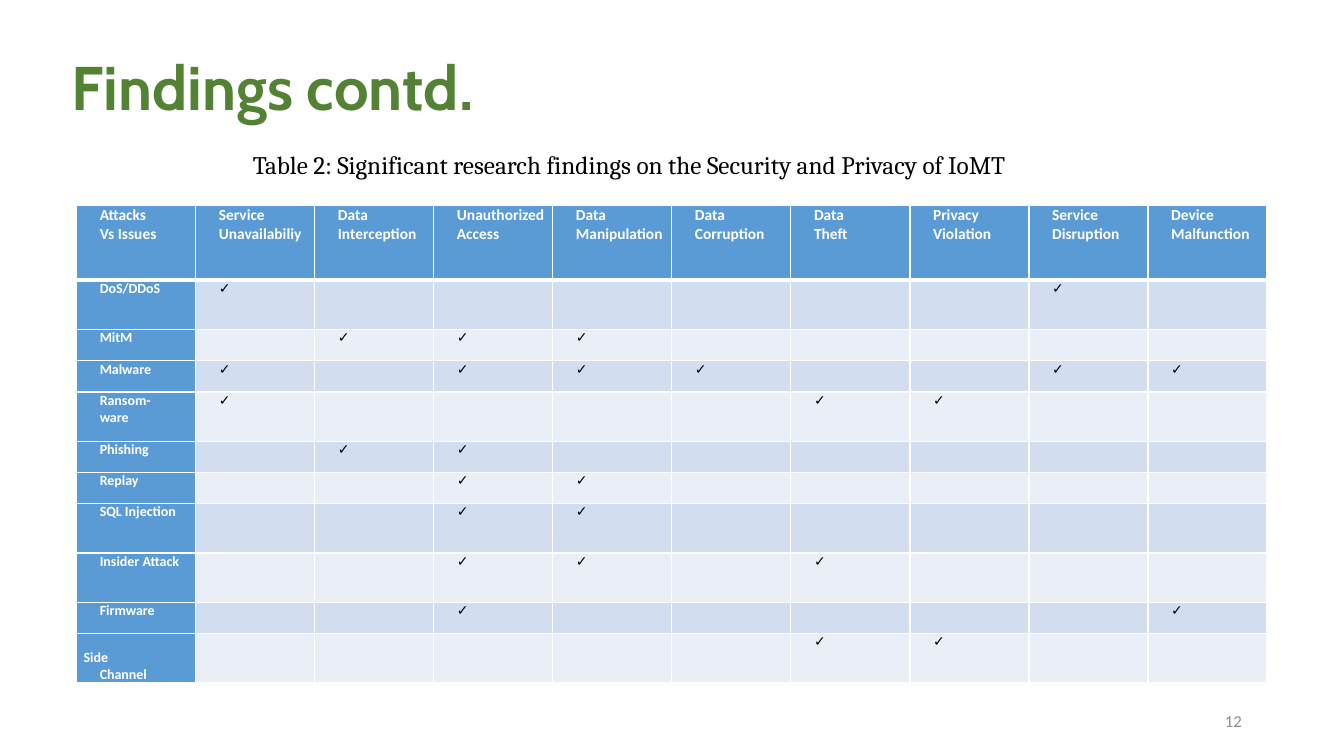
"""Build the slide with the table of attacks against security and privacy issues."""
import lxml.etree
import pptx
import pptx.dml.color
import pptx.enum.text
import pptx.oxml.ns
import pptx.util

COLORS = {
    "title": "548235", "number": "8C8C8C", "header": "5B9BD5", "white": "FFFFFF",
    "black": "000000", "odd": "D2DEEF", "even": "EAEFF7",
}
ALIGN = pptx.enum.text.PP_ALIGN
ANCHOR = pptx.enum.text.MSO_ANCHOR
qualify = pptx.oxml.ns.qn

presentation = pptx.Presentation()
presentation.slide_width = pptx.util.Inches(13.33)
presentation.slide_height = pptx.util.Inches(7.5)
slide = presentation.slides.add_slide(presentation.slide_layouts[6])


def share(left, top, width, height):
    """Turn percentages of the slide's size into lengths."""
    sizes = (presentation.slide_width, presentation.slide_height) * 2
    return [int(size * part / 100) for size, part in zip(sizes, (left, top, width, height))]


def write(paragraph, text, color, **formats):
    """Add one formatted run to a paragraph."""
    run = paragraph.add_run()
    run.text = text
    run.font.color.rgb = pptx.dml.color.RGBColor.from_string(COLORS[color])
    for name, value in formats.items():
        setattr(run.font, name, value)


texts = [
    ("Findings contd.", (4.58, 4.8, 58.8, 14.27), "title",
     {"size": pptx.util.Pt(44), "name": "Cabin", "bold": True},
     {"alignment": ALIGN.LEFT, "line_spacing": 0.9}, ANCHOR.MIDDLE),
    ("12", (70.65, 92.67, 22.5, 5.33), "number",
     {"size": pptx.util.Pt(12), "name": "Calibri"},
     {"alignment": ALIGN.RIGHT}, ANCHOR.MIDDLE),
    ("Table 2: Significant research findings on the Security and Privacy of IoMT",
     (18.08, 19.07, 58.8, 5.33), "black",
     {"size": pptx.util.Pt(18), "name": "Cambria"},
     {"alignment": ALIGN.LEFT}, ANCHOR.TOP),
]
for text, place, color, font_formats, paragraph_formats, anchor in texts:
    frame = slide.shapes.add_textbox(*share(*place)).text_frame
    frame.word_wrap = True
    frame.vertical_anchor = anchor
    paragraph = frame.paragraphs[0]
    for name, value in paragraph_formats.items():
        setattr(paragraph, name, value)
    write(paragraph, text, color, **font_formats)

issues = [
    "Attacks\nVs Issues", "Service\nUnavailabiliy", "Data\nInterception",
    "Unauthorized\nAccess", "Data\nManipulation", "Data\nCorruption", "Data\nTheft",
    "Privacy\nViolation", "Service\nDisruption", "Device\nMalfunction",
]
header_height, tall, short = 9.87, 6.53, 4.13
attacks = [
    ("DoS/DDoS", tall, {1, 8}),
    ("MitM", short, {2, 3, 4}),
    ("Malware", short, {1, 3, 4, 5, 8, 9}),
    ("Ransom-\nware", tall, {1, 6, 7}),
    ("Phishing", short, {2, 3}),
    ("Replay", short, {3, 4}),
    ("SQL Injection", tall, {3, 4}),
    ("Insider Attack", tall, {3, 4, 6}),
    ("Firmware", short, {3, 9}),
    ("Side\nChannel", tall, {6, 7}),
]
rows = [issues] + [
    [attack] + ["✓" if column in checked else "" for column in range(1, len(issues))]
    for attack, height, checked in attacks
]
heights = [header_height] + [height for attack, height, checked in attacks]

table = slide.shapes.add_table(
    len(rows), len(issues), *share(5.7, 27.2, 88.58, sum(heights))).table
table.first_row = table.horz_banding = False
for row, height in zip(table.rows, heights):
    row.height = int(presentation.slide_height * height / 100)

cell_formats = {
    "margin_left": pptx.util.Inches(0.07), "margin_right": pptx.util.Inches(0.07),
    "margin_top": 0, "margin_bottom": 0,
}
for row_index, row in enumerate(rows):
    for column_index, text in enumerate(row):
        cell = table.cell(row_index, column_index)
        for name, value in cell_formats.items():
            setattr(cell, name, value)
        heading = row_index == 0 or column_index == 0
        side_channel = text == "Side\nChannel"
        cell.vertical_anchor = ANCHOR.BOTTOM if side_channel else ANCHOR.TOP
        size = pptx.util.Pt(11 if row_index == 0 else 10)

        for line_index, line in enumerate(text.split("\n")):
            frame = cell.text_frame
            paragraph = frame.add_paragraph() if line_index else frame.paragraphs[0]
            paragraph.alignment = ALIGN.JUSTIFY
            indent = 0 if side_channel and line_index == 0 else pptx.util.Inches(0.16)
            paragraph._p.get_or_add_pPr().set("indent", str(indent))
            if line:
                write(paragraph, line, "white" if heading else "black",
                      size=size, name="Calibri", bold=heading)
            else:
                lxml.etree.SubElement(paragraph._p, qualify("a:endParaRPr"), sz="1000")

        properties = cell._tc.get_or_add_tcPr()
        for side in ("L", "R", "T", "B"):
            thick = (row_index, side) in ((0, "B"), (1, "T"))
            width = pptx.util.Pt(3 if thick else 1)
            border = lxml.etree.SubElement(properties, qualify("a:ln" + side), w=str(width))
            fill = lxml.etree.SubElement(border, qualify("a:solidFill"))
            lxml.etree.SubElement(fill, qualify("a:srgbClr"), val=COLORS["white"])
        cell.fill.solid()
        shade = "header" if heading else "odd" if row_index % 2 else "even"
        cell.fill.fore_color.rgb = pptx.dml.color.RGBColor.from_string(COLORS[shade])

presentation.save("out.pptx")
